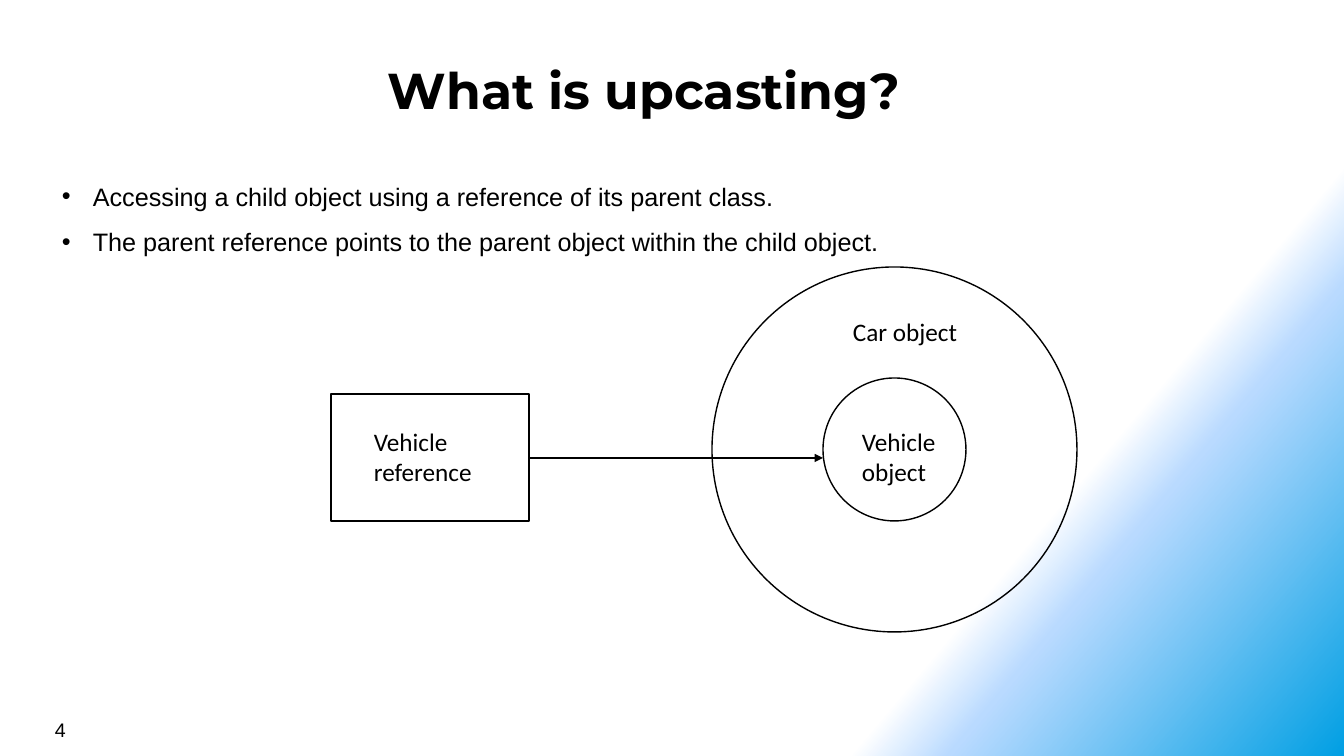
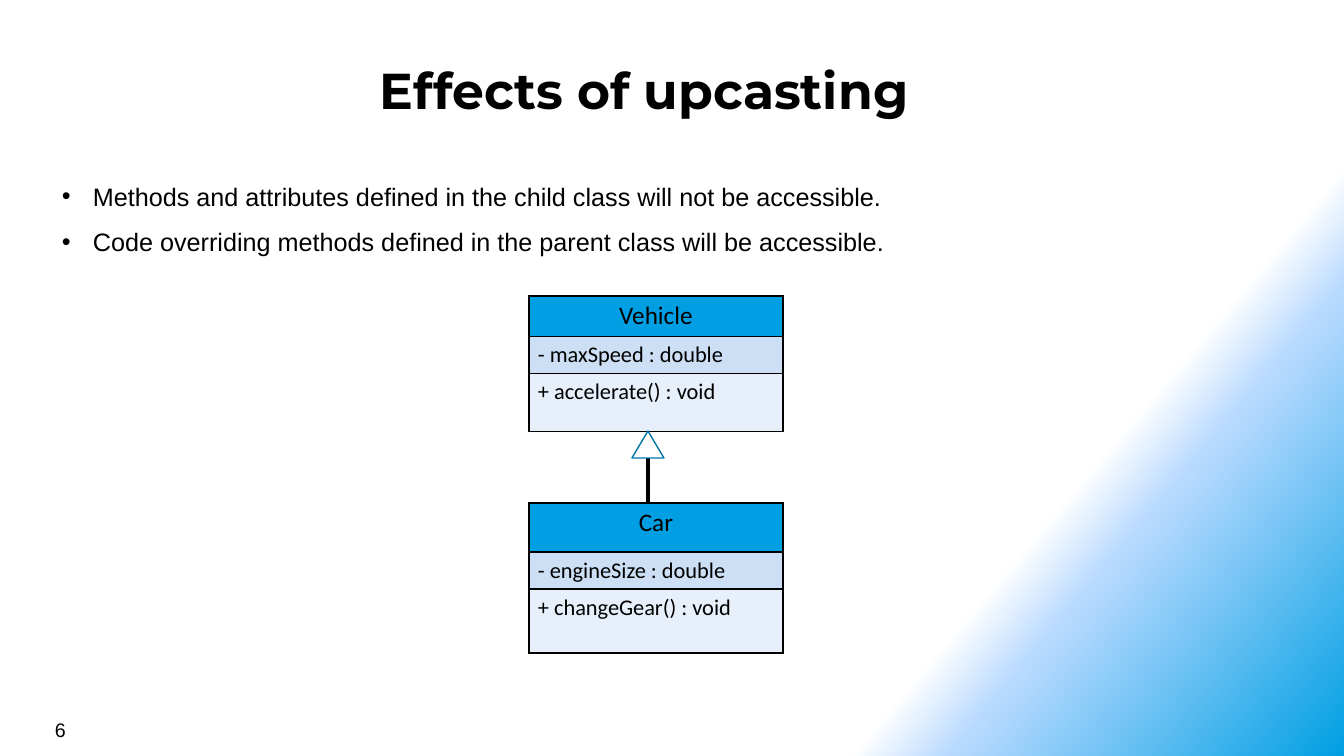
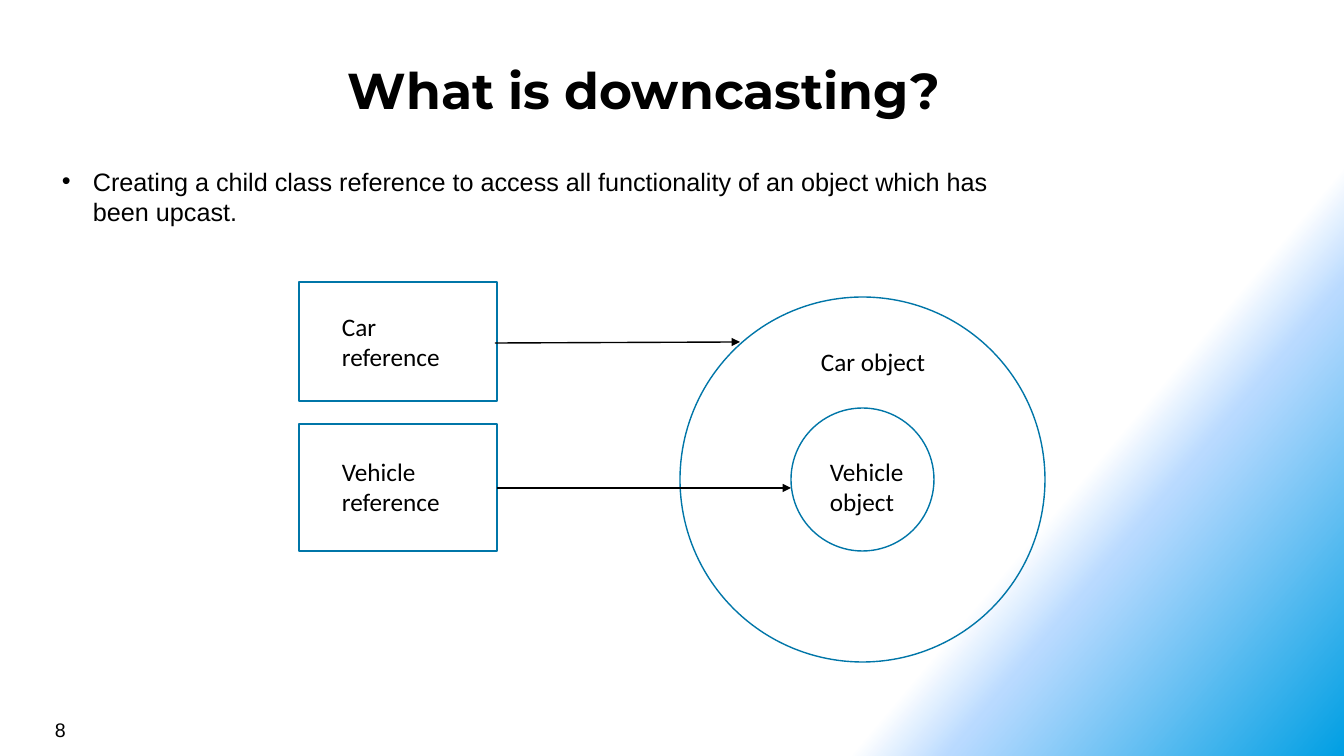
"""Build three slides on upcasting and downcasting."""
from lxml import etree
from pptx import Presentation
from pptx.dml.color import RGBColor
from pptx.enum.shapes import MSO_CONNECTOR, MSO_SHAPE
from pptx.enum.text import PP_ALIGN
from pptx.oxml.ns import qn
from pptx.util import Pt

WIDE, HIGH = 1344, 756
SCALE = 12192000 / WIDE
BLACK = RGBColor(0x00, 0x00, 0x00)
WHITE = RGBColor(0xFF, 0xFF, 0xFF)
TEAL = RGBColor(0x00, 0x76, 0xA8)
BLUE = RGBColor(0x00, 0x9F, 0xE3)
SKY = RGBColor(0xB9, 0xDA, 0xFF)
PALE = RGBColor(0xCC, 0xDF, 0xF4)
MIST = RGBColor(0xE7, 0xF0, 0xFA)
STOPS = ((75, WHITE), (80, SKY), (100, BLUE))
OVAL, RECT = MSO_SHAPE.OVAL, MSO_SHAPE.RECTANGLE
PEAK = MSO_SHAPE.ISOSCELES_TRIANGLE
STRAIGHT = MSO_CONNECTOR.STRAIGHT
LEFT, CENTER = PP_ALIGN.LEFT, PP_ALIGN.CENTER


def px(*sizes):
    """Turn pixels into a list of EMU lengths."""
    return [round(size * SCALE) for size in sizes]


def add(parent, tag, **attrs):
    """Append an XML child with attributes."""
    child = etree.SubElement(parent, qn(tag))
    for key, value in attrs.items():
        child.set(key, str(value))
    return child


def paint(master):
    """Give the master its diagonal gradient."""
    fill = master.background.fill
    fill.gradient()
    fill.gradient_angle = 320
    stops = master.element.find(".//" + qn("a:gsLst"))
    for stop in list(stops):
        stops.remove(stop)
    for place, color in STOPS:
        stop = add(stops, "a:gs", pos=place * 1000)
        add(stop, "a:srgbClr", val=color)


def style(frame, size, font, bold=False, align=LEFT):
    """Format every paragraph and run of a frame."""
    for para in frame.paragraphs:
        para.alignment = align
        for run in para.runs:
            run.font.size = Pt(size)
            run.font.name = font
            run.font.bold = bold
            run.font.color.rgb = BLACK


def text(slide, box, words, size=18, font="Calibri", bold=False, align=LEFT):
    """Add a wrapped text box and return its frame."""
    frame = slide.shapes.add_textbox(*px(*box)).text_frame
    frame.word_wrap = True
    frame.text = words
    style(frame, size, font, bold, align)
    return frame


def points(slide, lines, height, space):
    """Add the bulleted list."""
    frame = text(slide, (52, 161, 1008, height), "\n".join(lines), font="Arial")
    indent, = px(31)
    for para in frame.paragraphs:
        para.line_spacing = space
        props = para._p.get_or_add_pPr()
        props.set("marL", str(indent))
        props.set("indent", str(-indent))
        add(props, "a:buFont", typeface="Arial")
        add(props, "a:buChar", char="•")


def shape(slide, kind, box, color, fill=None):
    """Add an outlined shape, hollow unless a fill is given."""
    item = slide.shapes.add_shape(kind, *px(*box))
    item.shadow.inherit = False
    item.line.color.rgb = color
    item.line.width = Pt(1)
    if fill is None:
        item.fill.background()
    else:
        item.fill.solid()
        item.fill.fore_color.rgb = fill


def arrow(slide, start, end, width=1):
    """Add a black arrow from start to end."""
    item = slide.shapes.add_connector(STRAIGHT, *px(*start, *end))
    item.line.color.rgb = BLACK
    item.line.width = Pt(width)
    props = item.element.spPr
    add(props.find(qn("a:ln")), "a:tailEnd", type="triangle")
    add(props, "a:effectLst")


def border(cell):
    """Draw a thin black edge on all sides of a cell."""
    props = cell._tc.get_or_add_tcPr()
    for spot, side in enumerate(("a:lnL", "a:lnR", "a:lnT", "a:lnB")):
        edge = add(props, side, w=Pt(1))
        add(add(edge, "a:solidFill"), "a:srgbClr", val=BLACK)
        props.insert(spot, edge)


def uml(slide, top, heights, words):
    """Add a class box with name, field and method."""
    box = px(529, top, 254, sum(heights))
    table = slide.shapes.add_table(len(words), 1, *box).table
    table.first_row = table.horz_banding = False
    looks = ((BLUE, 18, CENTER), (PALE, 16, LEFT), (MIST, 16, LEFT))
    for row, height, word, look in zip(table.rows, heights, words, looks):
        color, size, align = look
        row.height, = px(height)
        cell = row.cells[0]
        cell.margin_left, cell.margin_right = px(9, 9)
        cell.margin_top, cell.margin_bottom = px(5, 5)
        cell.text_frame.text = word
        style(cell.text_frame, size, "Calibri", align=align)
        cell.fill.solid()
        cell.fill.fore_color.rgb = color
        border(cell)


def nest(slide, x, y, color):
    """Draw a vehicle reference pointing into a car object."""
    shape(slide, OVAL, (x, y, 365, 365), color)
    shape(slide, OVAL, (x + 111, y + 111, 143, 143), color)
    text(slide, (x + 140, y + 154, 111, 72), "Vehicle\nobject")
    text(slide, (x + 131, y + 44, 134, 40), "Car object")
    shape(slide, RECT, (x - 381, y + 127, 198, 127), color)
    arrow(slide, (x - 183, y + 191), (x + 111, y + 191))
    text(slide, (x - 348, y + 154, 158, 72), "Vehicle reference")


def page(deck, title, number):
    """Add a slide with its title and number."""
    slide = deck.slides.add_slide(deck.slide_layouts[6])
    frame = text(slide, (26, 51, 1236, 55), title, 36, "Montserrat", True, CENTER)
    frame.margin_left, frame.margin_right = px(8, 8)
    frame.margin_top, frame.margin_bottom = px(8, 8)
    text(slide, (45, 713, 313, 33), str(number), 14, "Arial")
    return slide


def upcast(deck):
    """Build the slide that defines upcasting."""
    slide = page(deck, "What is upcasting?", 4)
    points(slide, (
        "Accessing a child object using a reference of its parent class.",
        "The parent reference points to the parent object within the child object.",
    ), 96, 1.5)
    nest(slide, 712, 267, BLACK)


def effects(deck):
    """Build the slide with the class diagram."""
    slide = page(deck, "Effects of upcasting", 6)
    points(slide, (
        "Methods and attributes defined in the child class will not be accessible.",
        "Code overriding methods defined in the parent class will be accessible.",
    ), 96, 1.5)
    uml(slide, 296, (40, 37, 58),
        ("Vehicle", "- maxSpeed : double", "+ accelerate() : void"))
    uml(slide, 503, (49, 37, 64),
        ("Car", "- engineSize : double", "+ changeGear() : void"))
    arrow(slide, (648, 503), (648, 431), 3.25)
    shape(slide, PEAK, (632, 431, 32, 27), TEAL, WHITE)


def downcast(deck):
    """Build the slide that defines downcasting."""
    slide = page(deck, "What is downcasting?", 8)
    points(slide, (
        "Creating a child class reference to access all functionality "
        "of an object which has been upcast.",
    ), 72, 1.0)
    nest(slide, 680, 297, TEAL)
    shape(slide, RECT, (299, 282, 198, 119), TEAL)
    text(slide, (332, 306, 162, 72), "Car\nreference")
    arrow(slide, (495, 343), (740, 342))


def main():
    """Build and save the deck."""
    deck = Presentation()
    deck.slide_width, deck.slide_height = px(WIDE, HIGH)
    paint(deck.slide_master)
    upcast(deck)
    effects(deck)
    downcast(deck)
    deck.save("out.pptx")


main()
